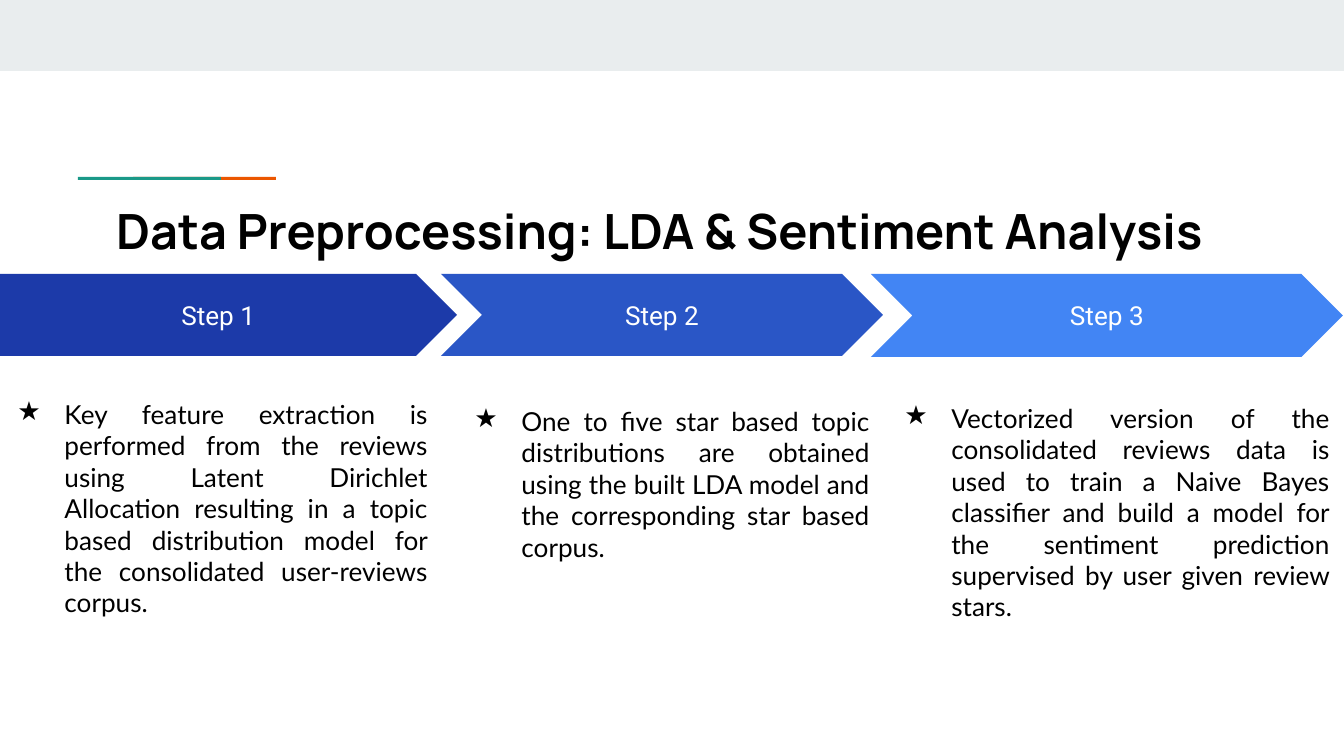
from lxml import etree
from pptx import Presentation
from pptx import util as u
from pptx.dml.color import RGBColor
from pptx.enum import shapes, text
from pptx.oxml.ns import qn

PX = 9144000 / 1344
WHITE = RGBColor(0xFF, 0xFF, 0xFF)
BLACK = RGBColor(0, 0, 0)
GREY = RGBColor(0xE9, 0xED, 0xEE)
ORANGE = RGBColor(0xEB, 0x56, 0x00)
GREEN = RGBColor(0x1A, 0x99, 0x88)
NAVY = RGBColor(0x1C, 0x3A, 0xA9)
ROYAL = RGBColor(0x2A, 0x56, 0xC6)
SKY = RGBColor(0x42, 0x85, 0xF4)

KIND = shapes.MSO_SHAPE
STEPS = [
    (0, 457, 82, KIND.PENTAGON, NAVY, "Step 1", -16, 385,
     "Key feature extraction is performed from the reviews using Latent "
     "Dirichlet Allocation resulting in a topic based distribution model "
     "for the consolidated user-reviews corpus."),
    (441, 442, 82, KIND.CHEVRON, ROYAL, "Step 2", 441, 392,
     "One to five star based topic distributions are obtained using the "
     "built LDA model and the corresponding star based corpus."),
    (871, 472, 83, KIND.CHEVRON, SKY, "Step 3", 871, 389,
     "Vectorized version of the consolidated reviews data is used to train "
     "a Naive Bayes classifier and build a model for the sentiment "
     "prediction supervised by user given review stars."),
]


def px(num):
    """Turn px into EMU."""
    return u.Emu(round(num * PX))


def block(slide, kind, box, fill):
    """Add a plain filled shape."""
    shape = slide.shapes.add_shape(kind, *map(px, box))
    shape.shadow.inherit = False
    shape.fill.solid()
    shape.fill.fore_color.rgb = fill
    shape.line.fill.background()
    return shape


def write(shape, words, face, size, ink, align, bold=False):
    """Put one styled paragraph in a shape."""
    frame = shape.text_frame
    frame.word_wrap = True
    frame.margin_left = frame.margin_right = u.Inches(0.1)
    frame.margin_top = frame.margin_bottom = u.Inches(0.1)
    frame.text = words
    para = frame.paragraphs[0]
    para.alignment = align
    font = para.runs[0].font
    font.name, font.size, font.bold = face, u.Pt(size), bold
    font.color.rgb = ink
    return para


def header(slide, left, top, width):
    """Draw the top band, the accent rule and the title."""
    block(slide, KIND.RECTANGLE, (left, top, width, 71), GREY)
    for shift, fill in ((133, ORANGE), (78, GREEN)):
        block(slide, KIND.RECTANGLE, (left + shift, top + 177, 143, 3), fill)
    title = slide.shapes.add_textbox(*map(px, (left + 103, top + 188, 1177, 130)))
    write(title, "Data Preprocessing: LDA & Sentiment Analysis", "Manrope", 26,
          BLACK, text.PP_ALIGN.LEFT, True)


def arrow(slide, box, kind, fill, label):
    """Draw one labelled step arrow."""
    shape = block(slide, kind, box, fill)
    shape.adjustments[0] = 0.5
    shape.text_frame.vertical_anchor = text.MSO_ANCHOR.MIDDLE
    write(shape, label, "Roboto", 14, WHITE, text.PP_ALIGN.CENTER)


def note(slide, box, words):
    """Write one starred, justified step note."""
    shape = slide.shapes.add_textbox(*map(px, box))
    para = write(shape, words, "Lato", 14, BLACK, text.PP_ALIGN.JUSTIFY)
    props = para._p.get_or_add_pPr()
    props.set("marL", str(u.Inches(0.5)))
    props.set("indent", str(-u.Inches(0.35)))
    etree.SubElement(props, qn("a:buChar")).set("char", "★")


def main():
    """Build and save the slide."""
    deck = Presentation()
    deck.slide_width, deck.slide_height = px(1344), px(756)
    slide = deck.slides.add_slide(deck.slide_layouts[6])
    header(slide, 0, 0, 1344)
    for left, width, tall, kind, fill, label, edge, top, words in STEPS:
        arrow(slide, (left, 274, width, tall), kind, fill, label)
        note(slide, (edge, top, width, 250), words)
    deck.save("out.pptx")


if __name__ == "__main__":
    main()
